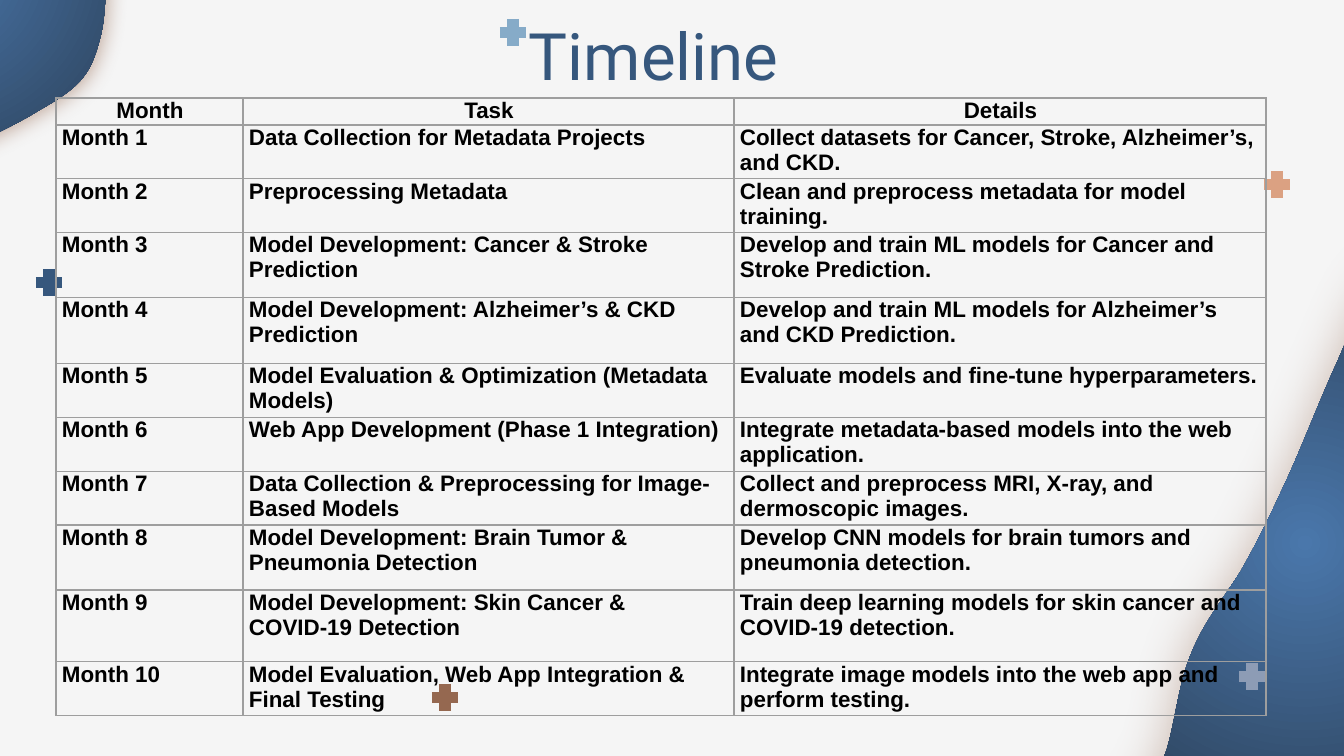
from lxml import etree
from pptx import Presentation
from pptx.dml.color import RGBColor
from pptx.enum.shapes import MSO_CONNECTOR
from pptx.enum.text import MSO_ANCHOR, PP_ALIGN
from pptx.oxml import parse_xml
from pptx.oxml.ns import nsdecls, qn
from pptx.util import Pt

STRAIGHT = MSO_CONNECTOR.STRAIGHT
TOP = MSO_ANCHOR.TOP
LEFT, CENTER = PP_ALIGN.LEFT, PP_ALIGN.CENTER
EMU_PER_PX = 914400 / 134.4

COLORS = {
    "background": "F5F5F5",
    "navy": "36577D",
    "blob_center": "4A77AB",
    "blob_edge": "27384C",
    "peach": "DBA182",
    "brown": "956850",
    "lavender": "8D9CB5",
    "sky": "86ABC8",
    "grid": "9E9E9E",
    "ink": "000000",
}
TITLE_FONT = {"name": "Roboto", "size": Pt(35), "bold": False}
CELL_FONT = {"name": "Arial", "size": Pt(12), "bold": True}

RIGHT_BLOB = [
    (345, 312), (340, 239), (335, 83), (319, 42), (304, 0), (273, 42), (254, 59),
    (235, 77), (226, 109), (210, 144), (194, 179), (173, 234), (157, 267),
    (141, 302), (130, 323), (116, 348), (99, 375), (79, 399), (67, 429),
    (54, 458), (51, 495), (42, 526), (32, 556), (0, 595), (8, 613),
    (16, 630), (42, 640), (89, 629), (136, 618), (245, 574), (288, 548),
    (332, 521), (340, 511), (351, 472), (360, 431), (351, 383), (345, 312),
]
LEFT_BLOB = [
    (345, 156), (336, 108), (313, 44), (294, 22), (274, 0), (249, 17), (230, 23),
    (211, 30), (191, 42), (179, 56), (167, 71), (168, 90), (157, 113),
    (146, 136), (130, 167), (116, 194), (101, 220), (79, 243), (67, 273),
    (55, 302), (52, 340), (42, 371), (32, 402), (0, 441), (8, 458),
    (16, 476), (43, 485), (89, 474), (136, 464), (245, 419), (288, 392),
    (332, 367), (341, 356), (351, 316), (360, 277), (355, 206), (345, 156),
]

COLUMN_WIDTHS = [187, 491, 532]
ROW_HEIGHTS = [26, 52, 52, 65, 66, 52, 52, 52, 65, 72, 52]
HEADERS = ("Month", "Task", "Details")
PLAN = [
    ("Data Collection for Metadata Projects",
     "Collect datasets for Cancer, Stroke, Alzheimer’s, and CKD."),
    ("Preprocessing Metadata",
     "Clean and preprocess metadata for model training."),
    ("Model Development: Cancer & Stroke Prediction",
     "Develop and train ML models for Cancer and Stroke Prediction."),
    ("Model Development: Alzheimer’s & CKD Prediction",
     "Develop and train ML models for Alzheimer’s and CKD Prediction."),
    ("Model Evaluation & Optimization (Metadata Models)",
     "Evaluate models and fine-tune hyperparameters."),
    ("Web App Development (Phase 1 Integration)",
     "Integrate metadata-based models into the web application."),
    ("Data Collection & Preprocessing for Image-Based Models",
     "Collect and preprocess MRI, X-ray, and dermoscopic images."),
    ("Model Development: Brain Tumor & Pneumonia Detection",
     "Develop CNN models for brain tumors and pneumonia detection."),
    ("Model Development: Skin Cancer & COVID-19 Detection",
     "Train deep learning models for skin cancer and COVID-19 detection."),
    ("Model Evaluation, Web App Integration & Final Testing",
     "Integrate image models into the web app and perform testing."),
]


def px(length):
    return round(length * EMU_PER_PX)


def color(name):
    return RGBColor.from_string(COLORS[name])


def apply(target, values):
    for name, value in values.items():
        setattr(target, name, value)


def write(frame, text, font, ink, paragraph_format):
    paragraph = frame.paragraphs[0]
    apply(paragraph, paragraph_format)
    run = paragraph.add_run()
    run.text = text
    apply(run.font, font)
    run.font.color.rgb = color(ink)


def add_plus(slide, box, ink):
    left, top, width, height = box
    middle_x, middle_y = left + width / 2, top + height / 2
    bars = [
        (middle_x, top, middle_x, top + height),
        (left, middle_y, left + width, middle_y),
    ]
    for ends in bars:
        bar = slide.shapes.add_connector(STRAIGHT, *map(px, ends))
        bar.line.width = Pt(6)
        bar.line.color.rgb = color(ink)
        etree.SubElement(bar._element.spPr, qn("a:effectLst"))


def bend(outline):
    segments = list(outline.iter(qn("a:lnTo")))
    for i in range(0, len(segments), 3):
        curve = etree.Element(qn("a:cubicBezTo"))
        segments[i].addprevious(curve)
        for segment in segments[i:i + 3]:
            curve.append(segment[0])
            segment.getparent().remove(segment)


def add_blob(slide, left, top, knots, glow):
    builder = slide.shapes.build_freeform(*knots[0], scale=EMU_PER_PX)
    builder.add_line_segments(knots[1:], close=True)
    blob = builder.convert_to_shape(px(left), px(top))
    bend(blob._element.spPr)
    blob.line.fill.background()
    blob.fill.gradient()
    for stop, shade in zip(blob.fill.gradient_stops, ("blob_center", "blob_edge")):
        stop.color.rgb = color(shade)
    linear = blob._element.spPr.find(".//" + qn("a:lin"))
    linear.getparent().replace(linear, parse_xml(
        f'<a:path {nsdecls("a")} path="circle">'
        '<a:fillToRect l="50000" t="50000" r="50000" b="50000"/></a:path>'))
    blob.shadow.inherit = False
    blob._element.spPr.find(qn("a:effectLst")).append(parse_xml(
        f'<a:outerShdw {nsdecls("a")} blurRad="{Pt(glow["blur"])}" '
        f'dist="{Pt(glow["distance"])}" dir="{glow["angle"] * 60000}" '
        f'algn="ctr" rotWithShape="0"><a:srgbClr val="{COLORS["brown"]}">'
        f'<a:alpha val="{glow["opacity"] * 1000}"/></a:srgbClr></a:outerShdw>'))


def add_title(slide, box):
    frame = slide.shapes.add_textbox(*map(px, box)).text_frame
    margins = {f"margin_{side}": px(14) for side in ("left", "right", "top", "bottom")}
    apply(frame, {"word_wrap": True, "vertical_anchor": TOP, **margins})
    write(frame, "Timeline", TITLE_FONT, "navy", {"alignment": LEFT})


def add_borders(cell):
    properties = cell._tc.get_or_add_tcPr()
    for position, side in enumerate("LRTB"):
        properties.insert(position, parse_xml(
            f'<a:ln{side} {nsdecls("a")} w="{Pt(0.75)}"><a:solidFill>'
            f'<a:srgbClr val="{COLORS["grid"]}"/></a:solidFill></a:ln{side}>'))


def add_schedule(slide, left, top):
    rows = [HEADERS] + [(f"Month {n}", *entry) for n, entry in enumerate(PLAN, 1)]
    box = (left, top, sum(COLUMN_WIDTHS), sum(ROW_HEIGHTS))
    schedule = slide.shapes.add_table(len(rows), len(HEADERS), *map(px, box)).table
    apply(schedule, {"first_row": False, "horz_banding": False})
    for column, width in zip(schedule.columns, COLUMN_WIDTHS):
        column.width = px(width)
    for r, (entry, height) in enumerate(zip(rows, ROW_HEIGHTS)):
        schedule.rows[r].height = px(height)
        alignment = LEFT if r else CENTER
        for c, text in enumerate(entry):
            cell = schedule.cell(r, c)
            apply(cell, {"margin_left": px(6), "margin_right": px(5),
                         "margin_top": 0, "margin_bottom": 0, "vertical_anchor": TOP})
            cell.fill.background()
            add_borders(cell)
            write(cell.text_frame, text, CELL_FONT, "ink",
                  {"alignment": alignment, "line_spacing": 1.0})


def main():
    deck = Presentation()
    apply(deck, {"slide_width": px(1344), "slide_height": px(756)})
    slide = deck.slides.add_slide(deck.slide_layouts[6])
    slide.background.fill.solid()
    slide.background.fill.fore_color.rgb = color("background")
    add_blob(slide, 1125, 223, RIGHT_BLOB,
             {"blur": 27, "distance": 0, "angle": 0, "opacity": 46})
    pluses = [(1264, 171, "peach"), (432, 684, "brown"), (1239, 663, "lavender"),
              (500, 19, "sky"), (36, 269, "navy")]
    for left, top, ink in pluses:
        add_plus(slide, (left, top, 26, 27), ink)
    add_blob(slide, -250, -281, LEFT_BLOB,
             {"blur": 11.2, "distance": 1.5, "angle": 38, "opacity": 54})
    add_title(slide, (515, 1, 585, 85))
    add_schedule(slide, 56, 98)
    deck.save("out.pptx")


if __name__ == "__main__":
    main()
